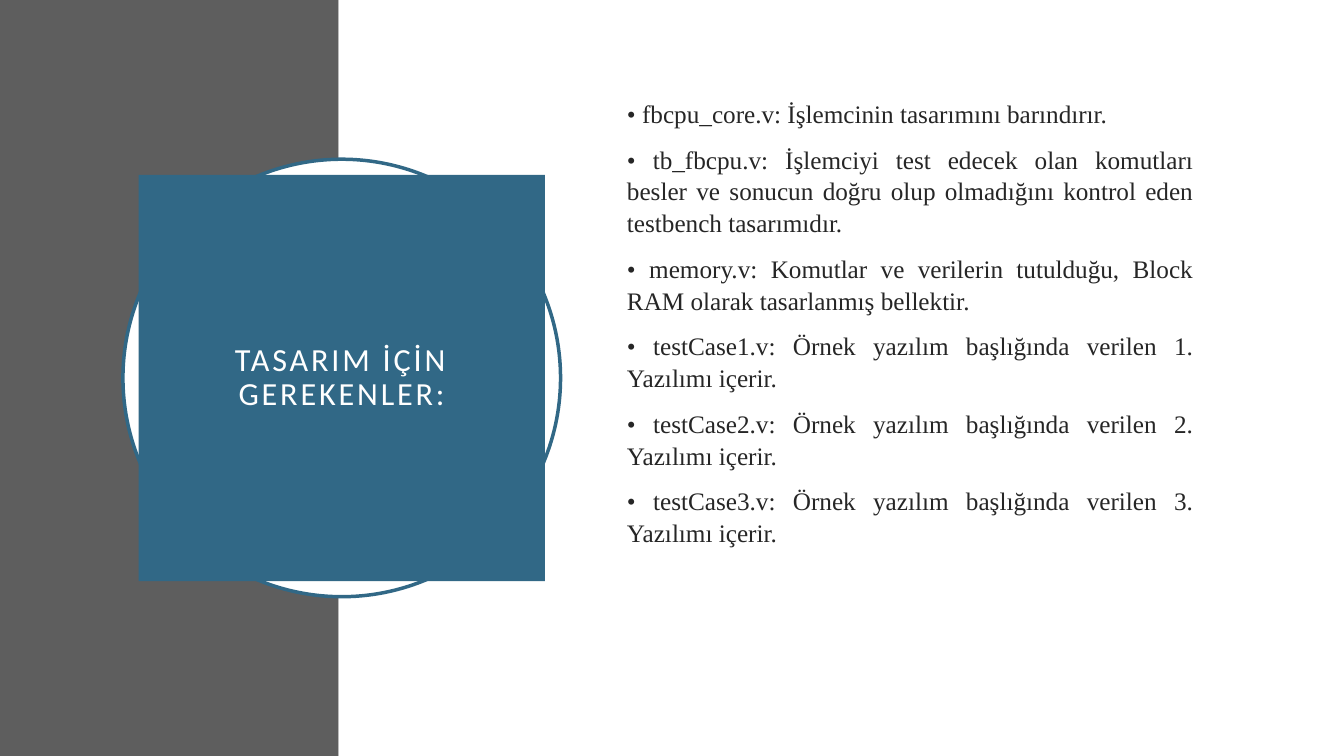
from pptx import Presentation
from pptx.dml.color import RGBColor
from pptx.enum.shapes import MSO_SHAPE
from pptx.enum.text import MSO_ANCHOR, MSO_AUTO_SIZE, PP_ALIGN
from pptx.util import Inches, Pt

RECTANGLE, OVAL = MSO_SHAPE.RECTANGLE, MSO_SHAPE.OVAL
MIDDLE, NO_FIT = MSO_ANCHOR.MIDDLE, MSO_AUTO_SIZE.NONE
CENTER, JUSTIFY = PP_ALIGN.CENTER, PP_ALIGN.JUSTIFY

TITLE = "TASARIM İÇİN GEREKENLER:"
FILES = [
    "• fbcpu_core.v: İşlemcinin tasarımını barındırır.",
    "• tb_fbcpu.v: İşlemciyi test edecek olan komutları besler ve sonucun "
    "doğru olup olmadığını kontrol eden testbench tasarımıdır.",
    "• memory.v: Komutlar ve verilerin tutulduğu, Block RAM olarak "
    "tasarlanmış bellektir.",
] + [
    f"• testCase{case}.v: Örnek yazılım başlığında verilen {case}. Yazılımı içerir."
    for case in (1, 2, 3)
]


def color(code):
    return RGBColor.from_string(code)


def set_all(target, values):
    for name, value in values.items():
        setattr(target, name, value)


class Deck:
    GRAY, BLUE, WHITE, INK = "5E5E5E", "316886", "FFFFFF", "262626"

    def __init__(self):
        self.prs = Presentation()
        set_all(self.prs, {"slide_width": Inches(13.33), "slide_height": Inches(7.5)})
        self.slide = self.prs.slides.add_slide(self.prs.slide_layouts[1])

    def area(self, left, top, width, height):
        """Turn percentages of the slide's size into lengths."""
        across, down = self.prs.slide_width / 100, self.prs.slide_height / 100
        return [round(share * unit) for share, unit in
                zip((left, top, width, height), (across, down, across, down))]

    def centered(self, center, size):
        """Area of a square, vertically centred; size is a share of the height."""
        width = size * self.prs.slide_height / self.prs.slide_width
        return self.area(center - width / 2, 50 - size / 2, width, size)

    def block(self, kind, area, fill, outline=None):
        shape = self.slide.shapes.add_shape(kind, *area)
        shape.shadow.inherit = False
        shape.fill.solid()
        shape.fill.fore_color.rgb = color(fill)
        if outline:
            shape.line.color.rgb = color(outline)
            shape.line.width = Pt(2.5)
        else:
            shape.line.fill.background()

    def placeholder(self, index, area, lines, frame, paragraph, font, ink):
        """Fill a template placeholder, format it and bring it to the front."""
        holder = self.slide.placeholders[index]
        set_all(holder, dict(zip(("left", "top", "width", "height"), area)))
        text = holder.text_frame
        text.text = "\n".join(lines)
        set_all(text, {"word_wrap": True, "auto_size": NO_FIT,
                       "vertical_anchor": MIDDLE, **frame})
        for item in text.paragraphs:
            set_all(item, paragraph)
            set_all(item.runs[0].font, font)
            item.runs[0].font.color.rgb = color(ink)
        holder._element.getparent().append(holder._element)
        return holder

    def title(self, area, heading):
        holder = self.placeholder(
            0, area, [heading],
            {f"margin_{side}": Inches(0.2) for side in ("left", "top", "right", "bottom")},
            {"alignment": CENTER, "line_spacing": 0.9},
            {"name": "Calibri", "size": Pt(23)}, self.WHITE)
        holder.fill.solid()
        holder.fill.fore_color.rgb = color(self.BLUE)
        holder.text_frame.paragraphs[0].runs[0].font._element.set("spc", "200")

    def body(self, area, lines):
        holder = self.placeholder(
            1, area, lines, {"margin_bottom": Inches(0.49)},
            {"alignment": JUSTIFY, "line_spacing": 1.05,
             "space_before": Pt(10), "space_after": Pt(0)},
            {"name": "Times New Roman", "size": Pt(18)}, self.INK)
        for item in holder.text_frame.paragraphs:
            properties = item._p.get_or_add_pPr()
            properties.set("marL", "0")
            properties.set("indent", "0")
            properties.append(properties.makeelement(
                "{http://schemas.openxmlformats.org/drawingml/2006/main}buNone", {}))


def main():
    deck = Deck()
    panel, badge = 25.2, 25.43
    deck.block(RECTANGLE, deck.area(0, 0, panel, 100), deck.GRAY)
    deck.block(RECTANGLE, deck.area(panel, 0, 100 - panel, 100), deck.WHITE)
    deck.block(OVAL, deck.centered(badge, 57.87), deck.WHITE, deck.BLUE)
    deck.title(deck.centered(badge, 53.73), TITLE)
    deck.body(deck.area(45.9, 11.47, 43.66, 68.13), FILES)
    deck.prs.save("out.pptx")


if __name__ == "__main__":
    main()
